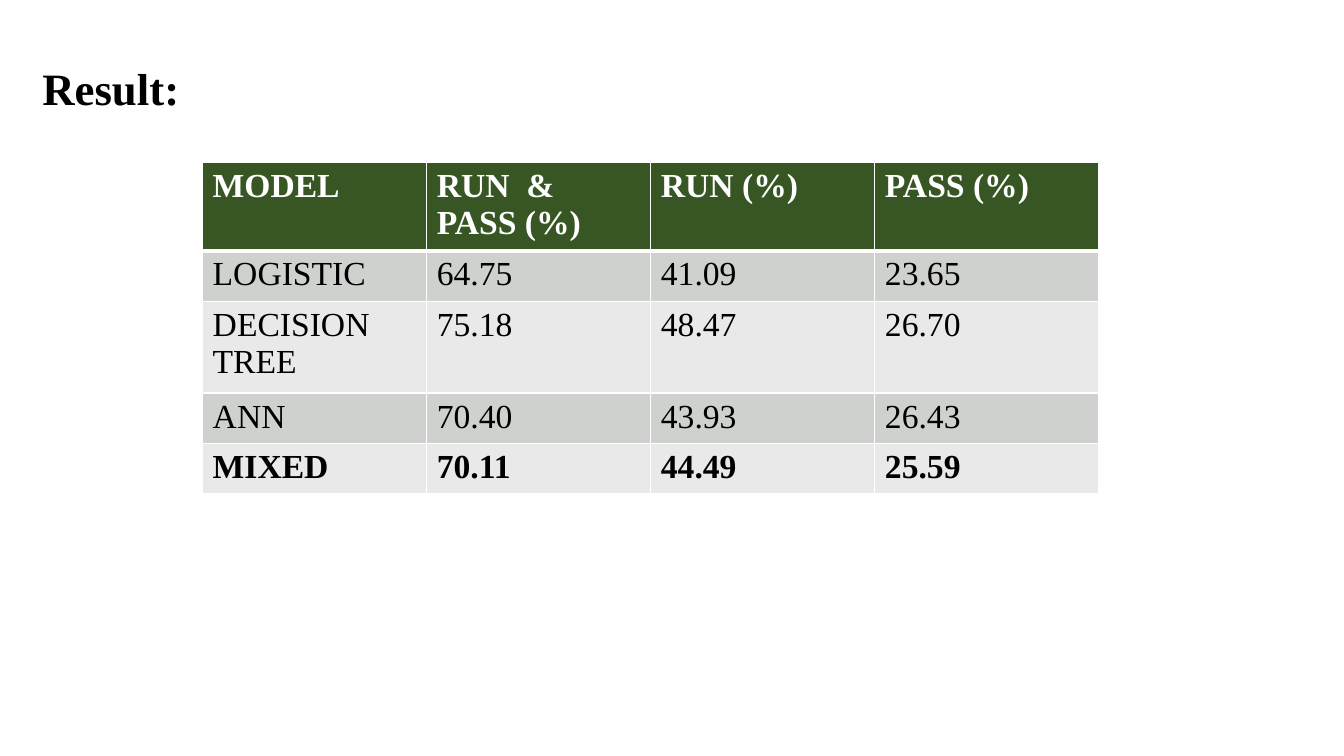
from lxml import etree
from pptx import Presentation
from pptx.dml.color import RGBColor
from pptx.enum.text import MSO_ANCHOR, MSO_AUTO_SIZE, PP_ALIGN
from pptx.oxml.ns import qn
from pptx.util import Pt

TOP = MSO_ANCHOR.TOP
NOFIT = MSO_AUTO_SIZE.NONE
LEFT = PP_ALIGN.LEFT
SCALE = 9144
GREEN = "375623"
BANDS = ["CED1CD", "E8E9E8"]
WHITE = "FFFFFF"
BLACK = "000000"

ROWS = [
    ["MODEL", "RUN  & PASS (%)", "RUN (%)", "PASS (%)"],
    ["LOGISTIC", "64.75", "41.09", "23.65"],
    ["DECISION TREE", "75.18", "48.47", "26.70"],
    ["ANN", "70.40", "43.93", "26.43"],
    ["MIXED", "70.11", "44.49", "25.59"],
]
HEIGHTS = [88, 50, 91, 50, 50]


def px(size):
    return size * SCALE


def color(code):
    return RGBColor.from_string(code)


class Page:
    face = "Times New Roman"

    def __init__(self, deck):
        self.slide = deck.slides.add_slide(deck.slide_layouts[5])

    def style(self, frame, size, tint, bold):
        for para in frame.paragraphs:
            para.alignment = LEFT
            for run in para.runs:
                font = run.font
                font.name = self.face
                font.size = Pt(size)
                font.bold = bold
                font.color.rgb = color(tint)

    def title(self, text, x, y, w, h):
        shape = self.slide.shapes.title
        shape.left, shape.top, shape.width, shape.height = map(px, (x, y, w, h))
        frame = shape.text_frame
        frame.text = text
        frame.word_wrap = True
        frame.auto_size = NOFIT
        frame.vertical_anchor = TOP
        self.style(frame, 32, BLACK, True)

    def border(self, cell, widths):
        props = cell._tc.get_or_add_tcPr()
        for side, width in zip("LRTB", widths):
            line = etree.SubElement(props, qn("a:ln" + side), w=str(Pt(width)))
            fill = etree.SubElement(line, qn("a:solidFill"))
            etree.SubElement(fill, qn("a:srgbClr"), val=WHITE)

    def table(self, rows, heights, x, y, w):
        grid = self.slide.shapes.add_table(
            len(rows), len(rows[0]), px(x), px(y), px(w), px(sum(heights))
        ).table
        for r, (row, height) in enumerate(zip(rows, heights)):
            grid.rows[r].height = px(height)
            head = r == 0
            bold = head or r == len(rows) - 1
            for c, text in enumerate(row):
                cell = grid.cell(r, c)
                cell.text_frame.text = text
                self.style(cell.text_frame, 24, WHITE if head else BLACK, bold)
                self.border(cell, (1, 1, 3 if r == 1 else 1, 3 if head else 1))
                cell.fill.solid()
                cell.fill.fore_color.rgb = color(GREEN if head else BANDS[(r - 1) % 2])


def main():
    deck = Presentation()
    deck.slide_width = px(1333)
    deck.slide_height = px(750)
    page = Page(deck)
    page.title("Result:", 32, 55, 440, 64)
    page.table(ROWS, HEIGHTS, 201, 161, 889)
    deck.save("out.pptx")


if __name__ == "__main__":
    main()
